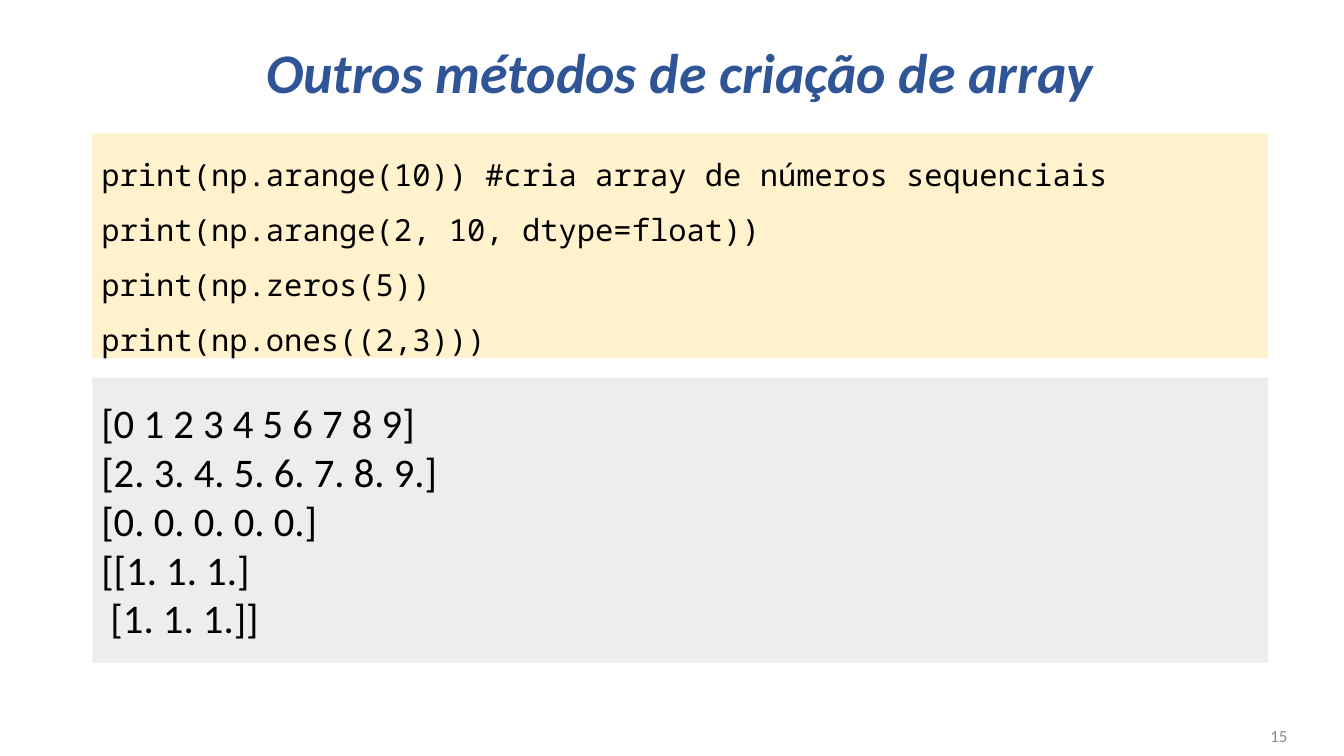
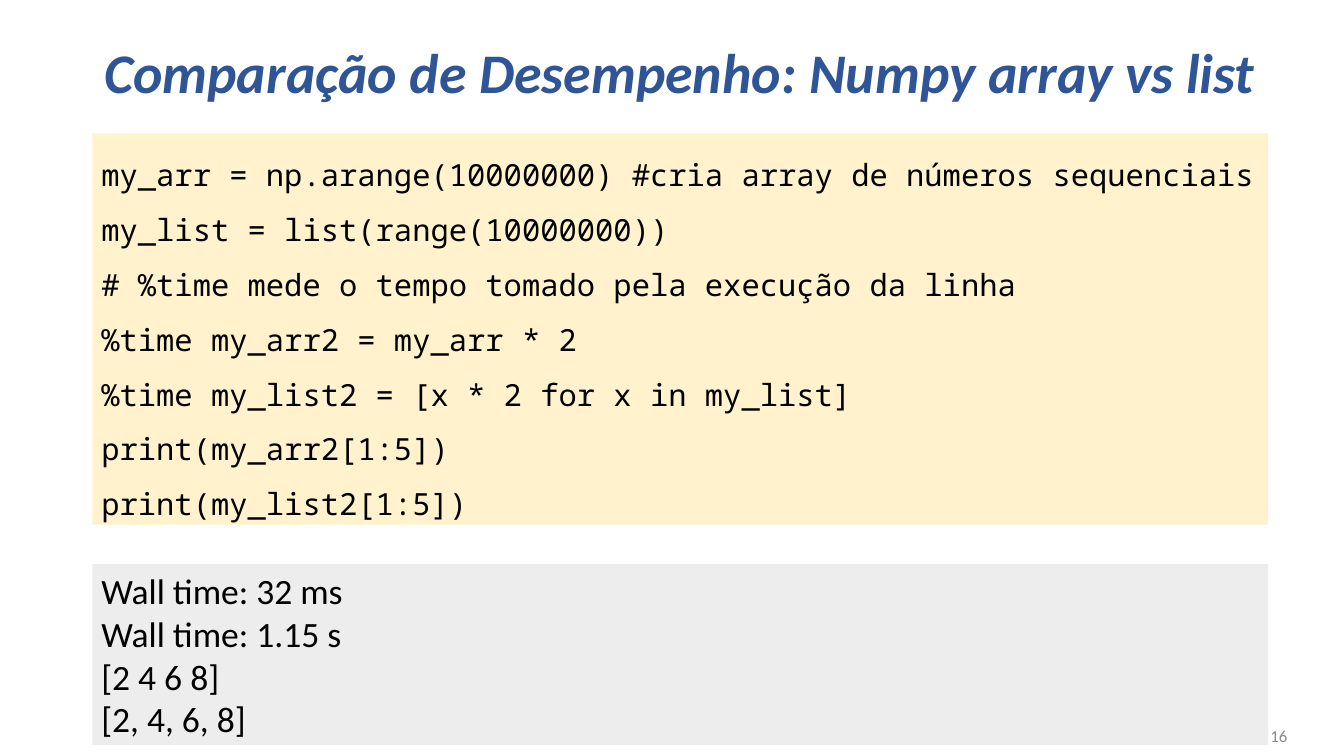
from lxml import etree
from pptx import Presentation
from pptx import util as u
from pptx.dml.color import RGBColor
from pptx.enum import shapes, text
from pptx.oxml import ns

# Content: code and its output, each panel with top and height in inches
FIRST_NUMBER = 15
SLIDES = [
    dict(
        title="Outros métodos de criação de array",
        code=(1.46, 2.46, [
            "print(np.arange(10)) #cria array de números sequenciais",
            "print(np.arange(2, 10, dtype=float))",
            "print(np.zeros(5))",
            "print(np.ones((2,3)))",
        ]),
        output=(4.13, 3.12, [
            "[0 1 2 3 4 5 6 7 8 9]",
            "[2. 3. 4. 5. 6. 7. 8. 9.]",
            "[0. 0. 0. 0. 0.]",
            "[[1. 1. 1.]",
            " [1. 1. 1.]]",
        ]),
        output_size=32,
    ),
    dict(
        title="Comparação de Desempenho: Numpy array vs list",
        code=(1.46, 4.28, [
            "my_arr = np.arange(10000000) #cria array de números sequenciais",
            "my_list = list(range(10000000))",
            "# %time mede o tempo tomado pela execução da linha",
            "%time my_arr2 = my_arr * 2",
            "%time my_list2 = [x * 2 for x in my_list]",
            "print(my_arr2[1:5])",
            "print(my_list2[1:5])",
        ]),
        output=(6.17, 1.98, [
            "Wall time: 32 ms",
            "Wall time: 1.15 s",
            "[2 4 6 8]",
            "[2, 4, 6, 8]",
        ]),
        output_size=28,
    ),
]

# Shared look
WIDTH, HEIGHT = 14.7, 8.27
MARGIN = 1.01
BODY_WIDTH = 12.86
BLUE, BLACK, GREY = "2F5597", "000000", "8B8B8B"
CODE_FILL, OUTPUT_FILL = "FFF2CC", "EDEDED"
BODY_FONT, CODE_FONT = "Calibri", "Noto Sans Mono"


def rgb(color):
    return RGBColor.from_string(color)


def style(font, size, color, name=BODY_FONT):
    font.size, font.name = u.Pt(size), name
    font.color.rgb = rgb(color)


def add_title(s, title):
    sp = s.shapes.title
    sp.left, sp.top = u.Inches(MARGIN), u.Inches(0.02)
    sp.width, sp.height = u.Inches(BODY_WIDTH), u.Inches(1.6)
    tf = sp.text_frame
    tf.text = title
    tf.vertical_anchor = text.MSO_ANCHOR.MIDDLE
    p = tf.paragraphs[0]
    p.alignment, p.line_spacing = text.PP_ALIGN.CENTER, 0.9
    font = p.runs[0].font
    style(font, 44, BLUE)
    font.bold = font.italic = True


def add_panel(s, panel, fill, size, name, spacing, anchor):
    top, height, lines = panel
    sp = s.shapes.add_shape(
        shapes.MSO_SHAPE.RECTANGLE, u.Inches(MARGIN), u.Inches(top),
        u.Inches(BODY_WIDTH), u.Inches(height))
    sp.shadow.inherit = False
    sp.fill.solid()
    sp.fill.fore_color.rgb = rgb(fill)
    sp.line.fill.background()
    tf = sp.text_frame
    tf.word_wrap, tf.vertical_anchor = True, anchor
    tf.text = "\n".join(lines)
    for p in tf.paragraphs:
        p.alignment, p.line_spacing = text.PP_ALIGN.LEFT, spacing
        style(p.runs[0].font, size, BLACK, name)
    return sp


def add_number(s, number):
    sp = s.shapes.add_textbox(
        u.Inches(10.87), u.Inches(7.83), u.Inches(3.31), u.Inches(0.44))
    tf = sp.text_frame
    tf.word_wrap, tf.vertical_anchor = True, text.MSO_ANCHOR.MIDDLE
    p = tf.paragraphs[0]
    p.alignment = text.PP_ALIGN.RIGHT
    r = p.add_run()
    r.text = str(number)
    style(r.font, 13.3, GREY)
    # Turn the run into a live slide-number field
    field = etree.SubElement(
        p._p, ns.qn("a:fld"), type="slidenum",
        id="{B6F15528-21DE-4FAA-801E-634DDDAF4B2B}")
    field.extend(list(r._r))
    p._p.remove(r._r)


def main():
    prs = Presentation()
    prs.slide_width, prs.slide_height = u.Inches(WIDTH), u.Inches(HEIGHT)
    prs.element.set("firstSlideNum", str(FIRST_NUMBER))
    for number, item in enumerate(SLIDES, FIRST_NUMBER):
        s = prs.slides.add_slide(prs.slide_layouts[5])
        add_title(s, item["title"])
        code = add_panel(s, item["code"], CODE_FILL, 24, CODE_FONT, 1.5,
                         text.MSO_ANCHOR.TOP)
        code.text_frame.auto_size = text.MSO_AUTO_SIZE.SHAPE_TO_FIT_TEXT
        add_panel(s, item["output"], OUTPUT_FILL, item["output_size"],
                  BODY_FONT, 1.0, text.MSO_ANCHOR.MIDDLE)
        add_number(s, number)
    prs.save("out.pptx")


if __name__ == "__main__":
    main()
